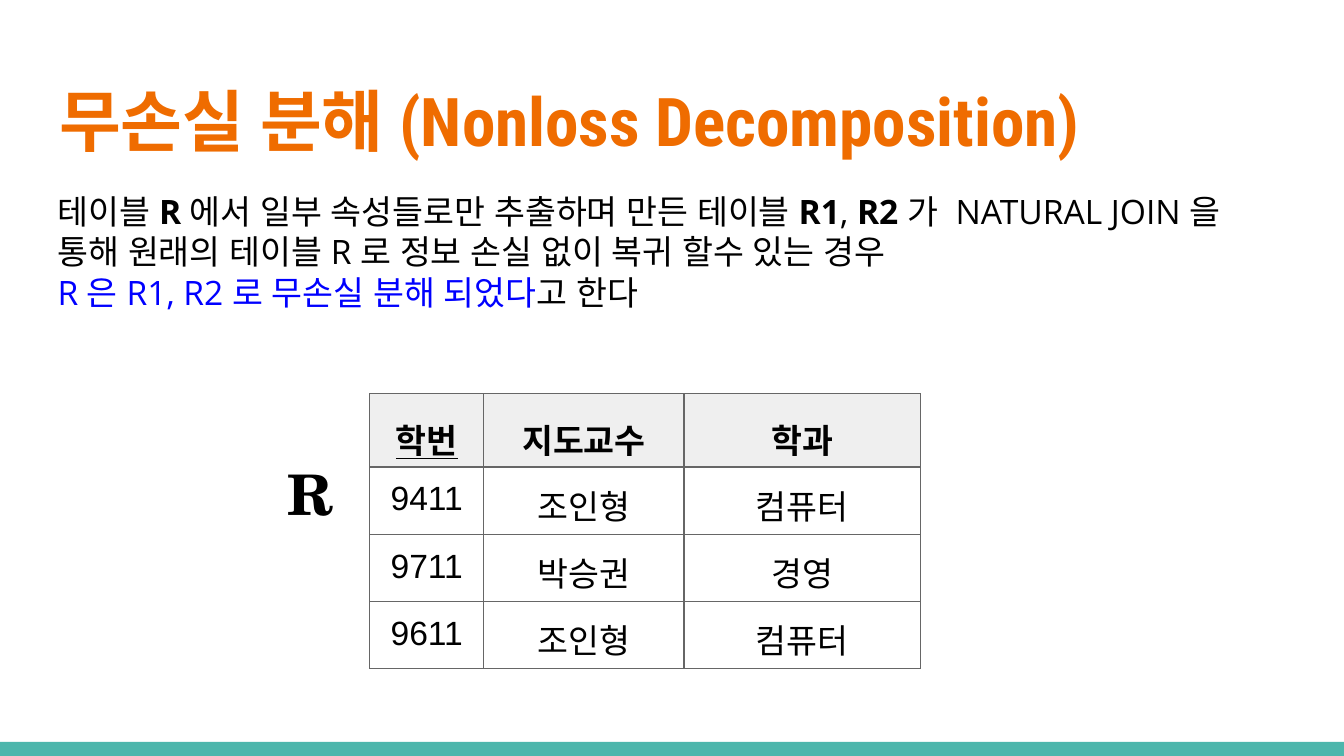
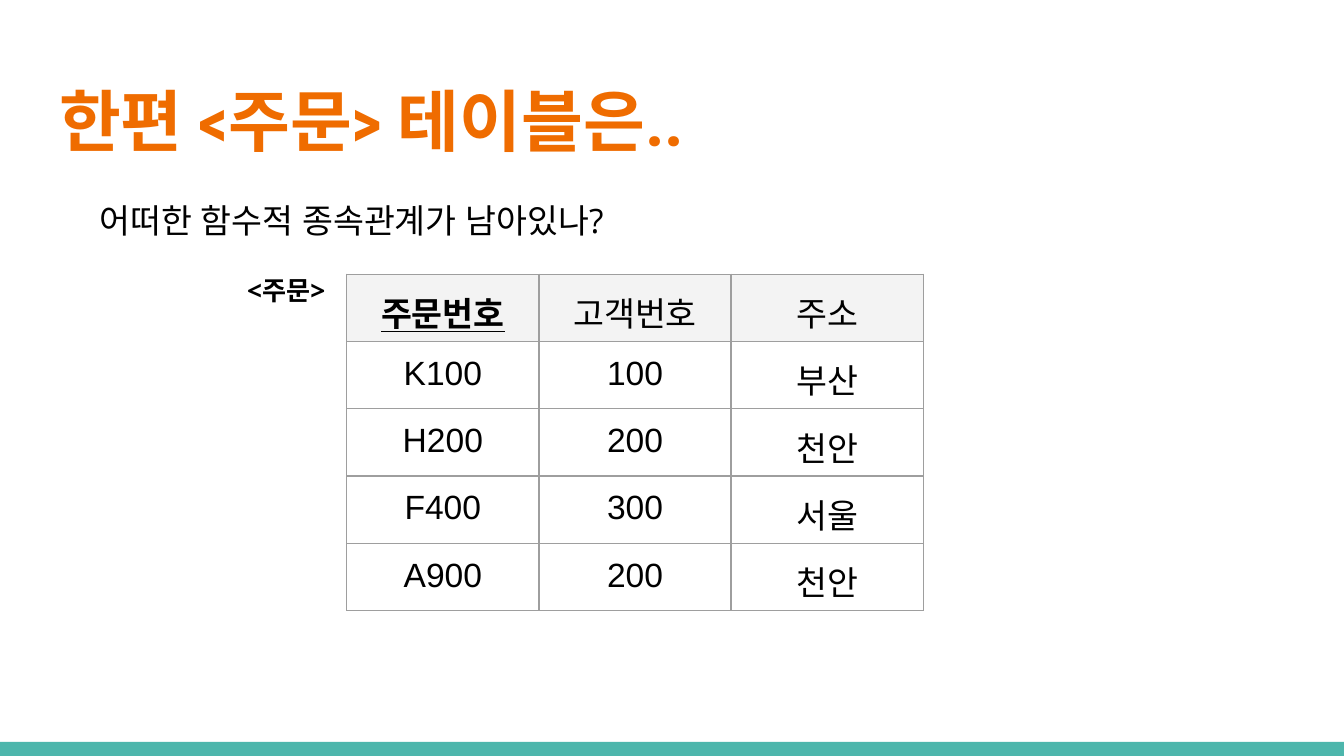
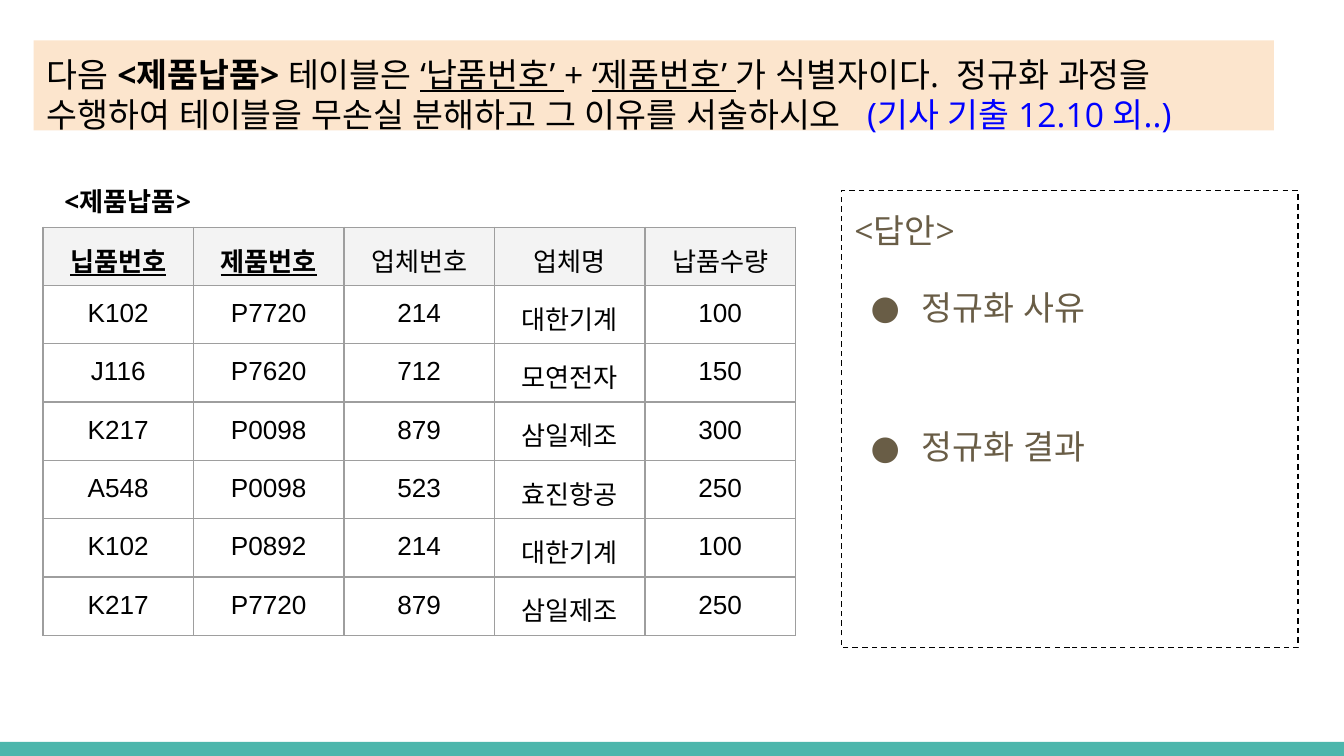
from dataclasses import dataclass

from pptx import Presentation
from pptx import util as u
from pptx.dml.color import RGBColor
from pptx.enum import dml, lang, shapes, text
from pptx.oxml import parse_xml
from pptx.oxml.ns import nsdecls, qn


@dataclass(frozen=True)
class Theme:
    black: str = "000000"
    white: str = "FFFFFF"
    orange: str = "EF6C00"
    teal: str = "4DB6AC"
    blue: str = "0000FF"
    brown: str = "695D46"
    peach: str = "FCE5CD"
    dark_grid: str = "666666"
    light_grid: str = "9E9E9E"
    dark_header: str = "EFEFEF"
    light_header: str = "F3F3F3"
    title_font: str = "Roboto Condensed"
    body_font: str = "Open Sans"
    table_font: str = "Arial"
    relation_font: str = "TeX Gyre Schola"
    title_size: int = 36
    relation_size: int = 30
    body_size: int = 18
    small_size: int = 14


theme = Theme()


def write(frame, lines, size, font, color=theme.black):
    frame.word_wrap = True
    frame.vertical_anchor = text.MSO_ANCHOR.TOP
    frame.margin_left = frame.margin_right = u.Inches(0.1)
    frame.margin_top = frame.margin_bottom = u.Inches(0.1)
    frame.text = "\n".join("" for line in lines)
    for para, line in zip(frame.paragraphs, lines):
        para.alignment = text.PP_ALIGN.LEFT
        for words, look in line:
            if look.get("new_line"):
                para.add_line_break()
            span = para.add_run()
            span.text = words
            span.font.size = u.Pt(size)
            span.font.name = font
            span.font.language_id = lang.MSO_LANGUAGE_ID.KOREAN
            span.font.bold = look.get("bold", False)
            span.font.underline = look.get("underline", False)
            span.font.color.rgb = RGBColor.from_string(look.get("color", color))
            if font != theme.table_font:
                latin = span.font._element.find(qn("a:latin"))
                latin.addnext(parse_xml(f'<a:ea {nsdecls("a")} typeface="{font}"/>'))


def draw_table(page, left, top, widths, heights, rows, size, grid, header_fill,
               body_fill=None, bold_heads=1, keys=1, header_spacing=None):
    frame = page.shapes.add_table(
        len(rows), len(widths), u.Inches(left), u.Inches(top),
        u.Inches(3.28), u.Inches(3.28))
    table = frame.table
    table.first_row = table.horz_banding = False
    for column, width in zip(table.columns, widths):
        column.width = u.Inches(width)
    for row, height in zip(table.rows, heights):
        row.height = u.Inches(height)
    frame.width = frame.height = u.Inches(3.28)
    for r, row in enumerate(rows):
        for c, value in enumerate(row):
            cell = table.cell(r, c)
            look = {"bold": r == 0 and c < bold_heads, "underline": r == 0 and c < keys}
            write(cell.text_frame, [[(value, look)]], size, theme.table_font)
            cell.margin_left = cell.margin_right = u.Inches(0.1)
            cell.margin_top = cell.margin_bottom = u.Inches(0.1)
            para = cell.text_frame.paragraphs[0]
            para.alignment = text.PP_ALIGN.CENTER
            if r == 0 and header_spacing:
                para.line_spacing = header_spacing
            for side in ("lnL", "lnR", "lnT", "lnB"):
                cell._tc.get_or_add_tcPr().append(parse_xml(
                    f'<a:{side} {nsdecls("a")} w="{u.Pt(0.75)}"><a:solidFill>'
                    f'<a:srgbClr val="{grid}"/></a:solidFill></a:{side}>'))
            fill = header_fill if r == 0 else body_fill
            if fill:
                cell.fill.solid()
                cell.fill.fore_color.rgb = RGBColor.from_string(fill)
            else:
                cell.fill.background()


deck = Presentation()
deck.slide_width = u.Inches(10)
deck.slide_height = deck.slide_width * 9 // 16
title_only, blank = deck.slide_layouts[5], deck.slide_layouts[6]

decomposition = deck.slides.add_slide(title_only)
order = deck.slides.add_slide(title_only)
exercise = deck.slides.add_slide(blank)

band = decomposition.shapes.add_shape(
    shapes.MSO_SHAPE.RECTANGLE, 0, u.Inches(5.52), u.Inches(10), u.Inches(0.11))
band.shadow.inherit = False
band.fill.solid()
band.fill.fore_color.rgb = RGBColor.from_string(theme.teal)
band.line.fill.background()
band.element.nvSpPr.cNvPr.set("id", "20")
deck.slide_master.shapes.element.append(band.element)

for page, heading in (
    (decomposition, "무손실 분해 (Nonloss Decomposition)"),
    (order, "한편 <주문> 테이블은.."),
):
    title = page.shapes.title
    title.left, title.top = u.Inches(0.34), u.Inches(0.49)
    title.width, title.height = u.Inches(9.32), u.Inches(0.77)
    write(title.text_frame, [[(heading, {"bold": True})]],
          theme.title_size, theme.title_font, theme.orange)

bold, underline, blue = {"bold": True}, {"underline": True}, {"color": theme.blue}

definition = [[
    ("테이블 ", {}), ("R", bold), (" 에서 일부 속성들로만 추출하며 만든 테이블 ", {}),
    ("R1", bold), (", ", {}), ("R2", bold),
    (" 가  NATURAL JOIN 을 통해 원래의 테이블 R 로 정보 손실 없이 복귀 할수 있는 경우 ", {}),
    ("R 은 R1, R2 로 무손실 분해 되었다", {"color": theme.blue, "new_line": True}),
    ("고 한다", {}),
]]
question = [[("어떠한 함수적 종속관계가 남아있나?", {})]]

for page, left, top, width, height, lines, size, font in (
    (decomposition, 0.33, 1.32, 9.17, 1.01, definition, theme.body_size, theme.body_font),
    (decomposition, 2.04, 3.32, 0.71, 0.74, [[("R", bold)]],
     theme.relation_size, theme.relation_font),
    (order, 1.74, 1.94, 1.59, 0.3, [[("<주문>", bold)]], theme.small_size, theme.body_font),
    (order, 0.64, 1.39, 8.65, 0.5, question, theme.body_size, theme.body_font),
    (exercise, 0.38, 1.28, 1.59, 0.3, [[("<제품납품>", bold)]],
     theme.small_size, theme.body_font),
):
    box = page.shapes.add_textbox(
        u.Inches(left), u.Inches(top), u.Inches(width), u.Inches(height))
    write(box.text_frame, lines, size, font)

draw_table(
    decomposition, 2.75, 2.93, [0.85, 1.49, 1.76], [0.24] * 4,
    [["학번", "지도교수", "학과"],
     ["9411", "조인형", "컴퓨터"],
     ["9711", "박승권", "경영"],
     ["9611", "조인형", "컴퓨터"]],
    theme.body_size, theme.dark_grid, theme.dark_header,
    bold_heads=3, header_spacing=1.15)

draw_table(
    order, 2.58, 2.04, [1.43] * 3, [0.27] + [0.3] * 4,
    [["주문번호", "고객번호", "주소"],
     ["K100", "100", "부산"],
     ["H200", "200", "천안"],
     ["F400", "300", "서울"],
     ["A900", "200", "천안"]],
    theme.body_size, theme.light_grid, theme.light_header, theme.white)

draw_table(
    exercise, 0.32, 1.69, [1.12] * 5, [0.27] + [0.3] * 6,
    [["닙품번호", "제품번호", "업체번호", "업체명", "납품수량"],
     ["K102", "P7720", "214", "대한기계", "100"],
     ["J116", "P7620", "712", "모연전자", "150"],
     ["K217", "P0098", "879", "삼일제조", "300"],
     ["A548", "P0098", "523", "효진항공", "250"],
     ["K102", "P0892", "214", "대한기계", "100"],
     ["K217", "P7720", "879", "삼일제조", "250"]],
    theme.small_size, theme.light_grid, theme.light_header, theme.white,
    bold_heads=2, keys=2)

task = exercise.shapes.add_shape(
    shapes.MSO_SHAPE.RECTANGLE, u.Inches(0.25), u.Inches(0.3), u.Inches(9.23), u.Inches(0.67))
task.shadow.inherit = False
task.fill.solid()
task.fill.fore_color.rgb = RGBColor.from_string(theme.peach)
task.line.fill.background()
write(task.text_frame, [[
    ("다음 ", {}), ("<제품납품>", bold), (" 테이블은 ", {}), ("‘납품번호’ ", underline),
    ("+ ", {}), ("‘제품번호’ ", underline),
    ("가 식별자이다.  정규화 과정을 수행하여 테이블을 무손실 분해하고 그 이유를 서술하시오  ", {}),
    (" (기사 기출 12.10 외..)", blue),
]], theme.body_size, theme.body_font)

answer = exercise.shapes.add_shape(
    shapes.MSO_SHAPE.RECTANGLE, u.Inches(6.26), u.Inches(1.42), u.Inches(3.4), u.Inches(3.4))
answer.shadow.inherit = False
answer.fill.background()
answer.line.color.rgb = RGBColor.from_string(theme.black)
answer.line.width = u.Pt(0.75)
answer.line.dash_style = dml.MSO_LINE.DASH
write(answer.text_frame, [[(words, {})] for words in ("<답안>", "정규화 사유", "정규화 결과")],
      theme.body_size, theme.body_font, theme.brown)
for para, gap in zip(answer.text_frame.paragraphs, (0, 16, 50)):
    para.line_spacing = 1.15
    para.space_before = u.Pt(gap)
    if gap:
        properties = para._p.get_or_add_pPr()
        properties.set("marL", str(u.Inches(0.5)))
        properties.set("indent", str(u.Inches(-0.38)))
        for bullet in (
            f'<a:buClr {nsdecls("a")}><a:srgbClr val="{theme.brown}"/></a:buClr>',
            f'<a:buFont {nsdecls("a")} typeface="{theme.body_font}"/>',
            f'<a:buChar {nsdecls("a")} char="●"/>',
        ):
            properties.append(parse_xml(bullet))

deck.save("out.pptx")
